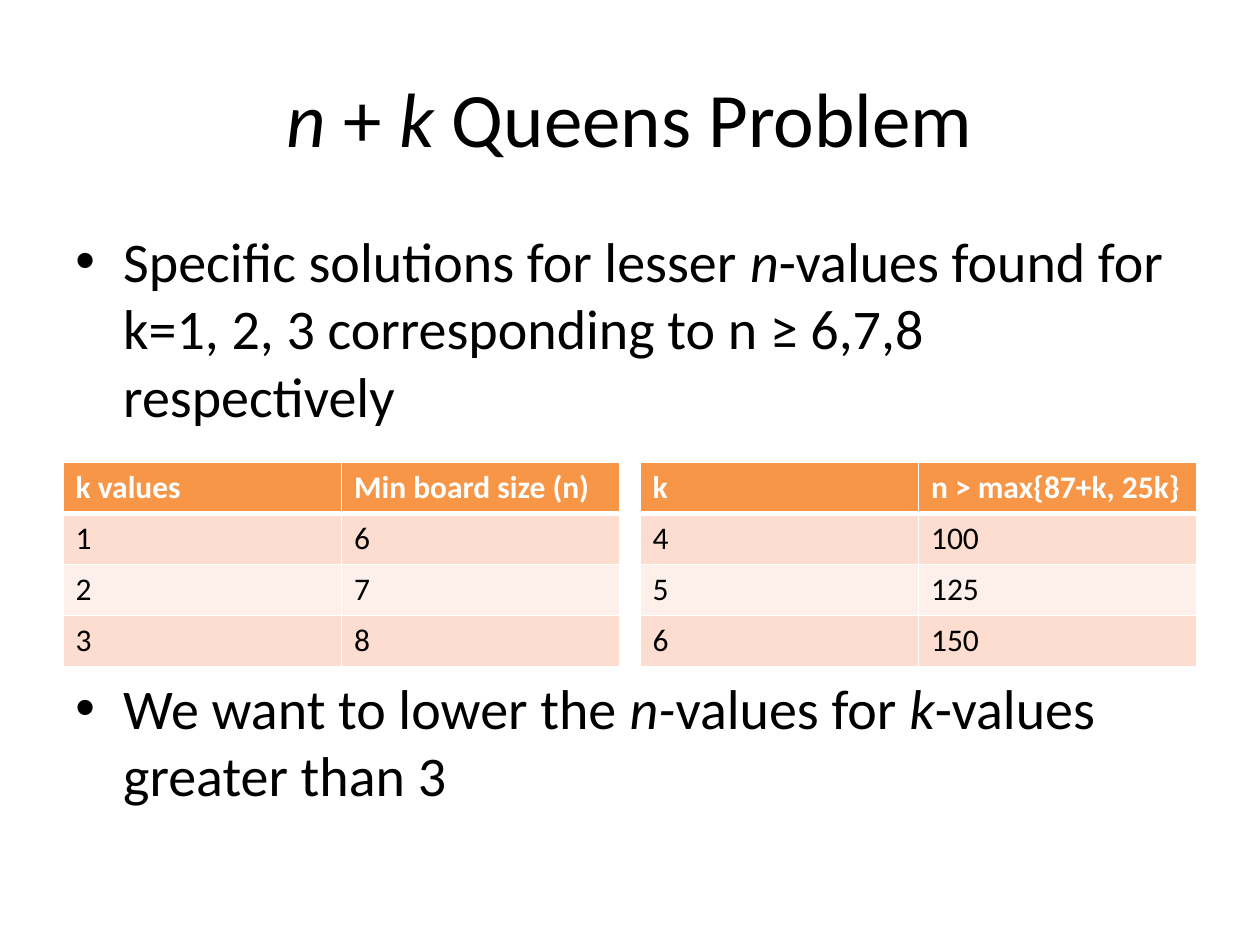
import pptx
import pptx.dml.color
import pptx.enum.text
import pptx.oxml
import pptx.oxml.ns
import pptx.util

WIDE, HIGH = 10, 7.5
EDGE = 0.05 * WIDE
GAP = 0.16
FONT = "Calibri"
HEAD, BANDS = "F79646", ("FCDDCF", "FDEFE9")
BLACK, WHITE = "000000", "FFFFFF"

TITLE = "*n* + *k* Queens Problem"
# Each bullet with the space before it, in points
POINTS = [
    ("Specific solutions for lesser *n*-values found for "
     "k=1, 2, 3 corresponding to n ≥ 6,7,8 respectively", 0),
    ("We want to lower the *n-*values for *k*-values greater than 3", 140),
]
TABLES = [
    [("k values", "Min board size (n)"), ("1", "6"), ("2", "7"), ("3", "8")],
    [("k", "n > max{87+k, 25k}"), ("4", "100"), ("5", "125"), ("6", "150")],
]


def color(code):
    return pptx.dml.color.RGBColor.from_string(code)


def inches(box):
    return [pptx.util.Inches(x) for x in box]


def style(run, size, code=BLACK, bold=False, italic=False):
    font = run.font
    font.name, font.size = FONT, pptx.util.Pt(size)
    font.bold, font.italic = bold, italic
    font.color.rgb = color(code)


def write(para, text, size):
    """Fill a paragraph; parts between asterisks are italic."""
    for i, part in enumerate(text.split("*")):
        if part:
            run = para.add_run()
            run.text = part
            style(run, size, italic=i % 2 == 1)


def frame(slide, box):
    text = slide.shapes.add_textbox(*inches(box)).text_frame
    text.word_wrap = True
    return text


def title(slide, box):
    text = frame(slide, box)
    text.vertical_anchor = pptx.enum.text.MSO_ANCHOR.MIDDLE
    para = text.paragraphs[0]
    para.alignment = pptx.enum.text.PP_ALIGN.CENTER
    write(para, TITLE, 44)


def bullet(para):
    props = para._p.get_or_add_pPr()
    indent = pptx.util.Inches(0.38)
    props.set("marL", str(indent))
    props.set("indent", str(-indent))
    ns = pptx.oxml.ns.nsdecls("a")
    for tag in ('buFont {} typeface="Arial"', 'buChar {} char="•"'):
        props.append(pptx.oxml.parse_xml(f"<a:{tag.format(ns)}/>"))


def body(slide, box):
    text = frame(slide, box)
    for i, (line, space) in enumerate(POINTS):
        para = text.add_paragraph() if i else text.paragraphs[0]
        para.space_before = pptx.util.Pt(space)
        bullet(para)
        write(para, line, 32)


def border(cell, base):
    """Draw white edges, with the bottom one of the given width."""
    props = cell._tc.get_or_add_tcPr()
    ns = pptx.oxml.ns.nsdecls("a")
    for i, (side, wide) in enumerate(zip("LRTB", (1, 1, 1, base))):
        props.insert(i, pptx.oxml.parse_xml(
            f'<a:ln{side} {ns} w="{pptx.util.Pt(wide)}"><a:solidFill>'
            f'<a:srgbClr val="{WHITE}"/></a:solidFill></a:ln{side}>'))


def table(slide, box, rows):
    grid = slide.shapes.add_table(len(rows), len(rows[0]), *inches(box)).table
    for r, row in enumerate(rows):
        top = r == 0
        for c, word in enumerate(row):
            cell = grid.cell(r, c)
            cell.text_frame.text = word
            style(cell.text_frame.paragraphs[0].runs[0], 18,
                  WHITE if top else BLACK, bold=top)
            cell.fill.solid()
            cell.fill.fore_color.rgb = color(HEAD if top else BANDS[(r - 1) % 2])
            border(cell, 3 if top else 1)


def tables(slide, box):
    left, top, wide, high = box
    each = (wide - GAP * (len(TABLES) - 1)) / len(TABLES)
    for i, rows in enumerate(TABLES):
        table(slide, (left + i * (each + GAP), top, each, high), rows)


def main():
    deck = pptx.Presentation()
    deck.slide_width, deck.slide_height = inches((WIDE, HIGH))
    slide = deck.slides.add_slide(deck.slide_layouts[6])
    span = WIDE - 2 * EDGE
    title(slide, (EDGE, 0.04 * HIGH, span, HIGH / 6))
    body(slide, (EDGE, 1.75, span, 0.66 * HIGH))
    tables(slide, (EDGE, 3.67, span, 1.62))
    deck.save("out.pptx")


if __name__ == "__main__":
    main()
